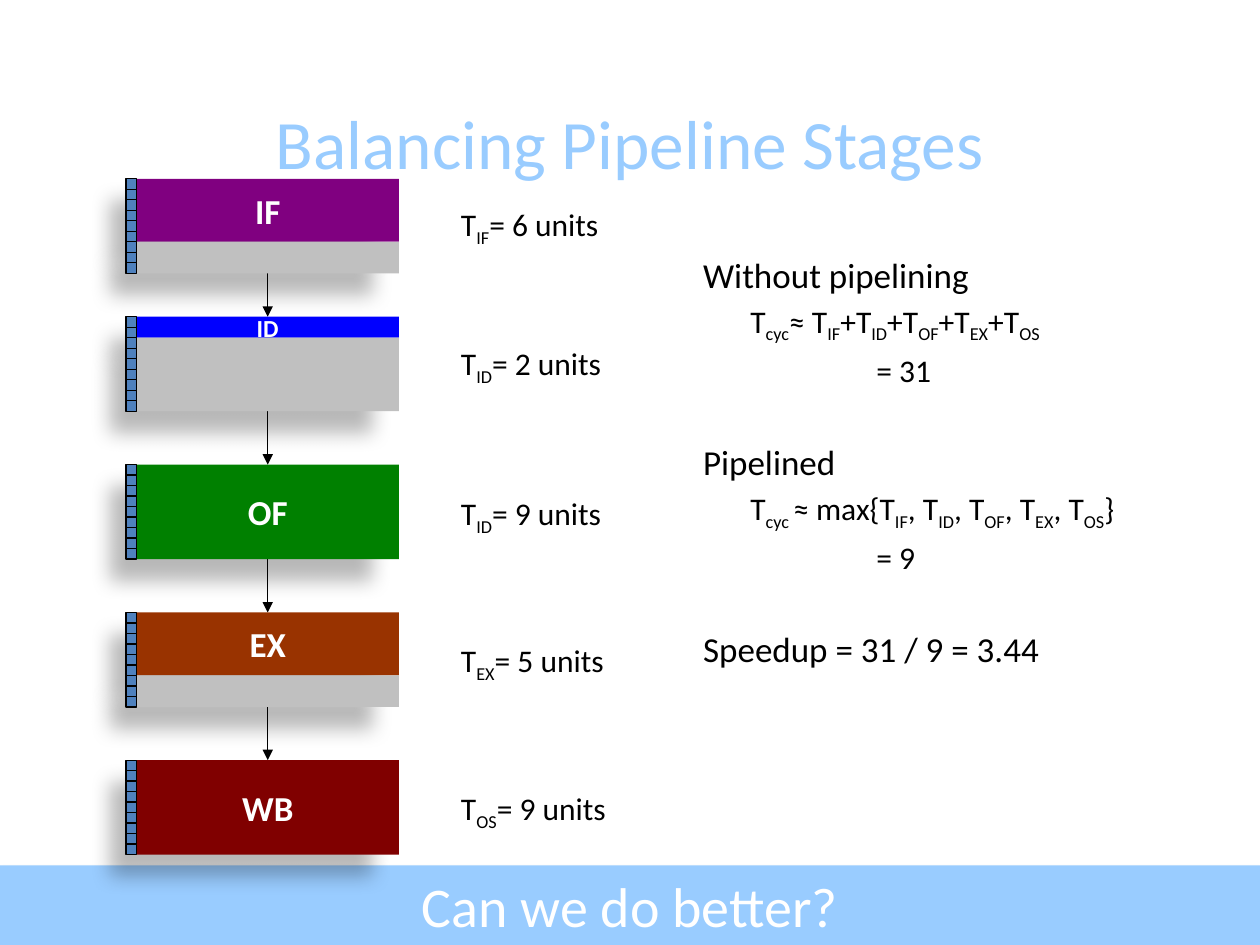
from dataclasses import dataclass
from itertools import pairwise

from lxml import etree
from pptx import Presentation
from pptx.dml.color import RGBColor
from pptx.enum import shapes, text
from pptx.oxml import ns
from pptx.util import Pt

FONT = "Calibri"
UNIT = 6
SLOTS = 9
STAGE_H = UNIT * SLOTS
LATCH_X = 72
STAGE_X = LATCH_X + UNIT
STAGE_W = 150
LABEL_X = 256.3
BAND_Y = 494.6


@dataclass
class Stage:
    name: str
    top: float
    units: int
    color: str
    size: float
    label: str
    label_top: float


@dataclass
class Note:
    markup: str
    size: float
    indent: float
    before: float


@dataclass
class Shadow:
    alpha: int
    blur: float
    dist: float
    angle: int


STAGE_SHADOW = Shadow(28, 11.8, 19.7, 141)
BAND_SHADOW = Shadow(35, 3.1, 1.8, 90)

STAGES = [
    Stage("IF", 102.2, 6, "800080", 20, "T_IF_= 6 units", 113.8),
    Stage("ID", 181, 2, "0000FF", 14, "T_ID_= 2 units", 193),
    Stage("OF", 265.5, 9, "008000", 20, "T_ID_= 9 units", 278.6),
    Stage("EX", 350, 6, "993300", 20, "T_EX_= 5 units", 363),
    Stage("WB", 434.4, 9, "800000", 20, "T_OS_= 9 units", 447.6),
]

NOTES = [
    Note("Without pipelining", 20, 0, 0),
    Note("T_cyc_≈ T_IF_+T_ID_+T_OF_+T_EX_+T_OS_", 18, 27, 3.6),
    Note("= 31", 18, 99, 3.6),
    Note("Pipelined", 20, 0, 29.6),
    Note("T_cyc _≈ max{T_IF_, T_ID_, T_OF_, T_EX_, T_OS_}", 18, 27, 3.6),
    Note("= 9", 18, 99, 3.6),
    Note("Speedup = 31 / 9 = 3.44", 20, 0, 29.6),
]


def rgb(value: str) -> RGBColor:
    return RGBColor.from_string(value)


def add_effects(sp, shadow: Shadow | None = None) -> None:
    sp_pr = sp._element.spPr
    for old in sp_pr.findall(ns.qn("a:effectLst")):
        sp_pr.remove(old)
    effects = etree.SubElement(sp_pr, ns.qn("a:effectLst"))
    if shadow:
        outer = etree.SubElement(
            effects, ns.qn("a:outerShdw"),
            blurRad=str(Pt(shadow.blur)), dist=str(Pt(shadow.dist)),
            dir=str(shadow.angle * 60000), algn="ctr", rotWithShape="0")
        color = etree.SubElement(outer, ns.qn("a:srgbClr"), val="000000")
        etree.SubElement(color, ns.qn("a:alpha"), val=str(shadow.alpha * 1000))


def add_rect(s, x: float, y: float, w: float, h: float, fill: str,
             line: str | None = None, shadow: Shadow | None = None):
    sp = s.shapes.add_shape(shapes.MSO_SHAPE.RECTANGLE, Pt(x), Pt(y), Pt(w), Pt(h))
    sp.fill.solid()
    sp.fill.fore_color.rgb = rgb(fill)
    if line:
        sp.line.color.rgb = rgb(line)
        sp.line.width = Pt(0.75)
    else:
        sp.line.fill.background()
    add_effects(sp, shadow)
    return sp


def add_arrow(s, x: float, y1: float, y2: float) -> None:
    c = s.shapes.add_connector(
        shapes.MSO_CONNECTOR.STRAIGHT, Pt(x), Pt(y1), Pt(x), Pt(y2))
    c.line.color.rgb = rgb("000000")
    c.line.width = Pt(0.75)
    etree.SubElement(c.line._get_or_add_ln(), ns.qn("a:tailEnd"), type="triangle")
    add_effects(c)


def format_font(font, size: float, color: str, bold: bool = False) -> None:
    font.name = FONT
    font.size = Pt(size)
    font.color.rgb = rgb(color)
    font.bold = bold


def set_centered(sp, content: str, size: float, color: str, bold: bool = False) -> None:
    tf = sp.text_frame
    tf.text = content
    tf.vertical_anchor = text.MSO_ANCHOR.MIDDLE
    tf.auto_size = text.MSO_AUTO_SIZE.NONE
    p = tf.paragraphs[0]
    p.alignment = text.PP_ALIGN.CENTER
    format_font(p.runs[0].font, size, color, bold)


def write_markup(p, markup: str, size: float) -> None:
    p.alignment = text.PP_ALIGN.LEFT
    for i, part in enumerate(markup.split("_")):
        if part:
            r = p.add_run()
            r.text = part
            format_font(r.font, size, "000000")
            if i % 2:
                r.font._element.set("baseline", "-25000")


def add_stage(s, stage: Stage) -> None:
    busy = stage.units * UNIT
    sp = add_rect(s, STAGE_X, stage.top, STAGE_W, busy, stage.color, shadow=STAGE_SHADOW)
    set_centered(sp, stage.name, stage.size, "FFFFFF", True)
    tf = sp.text_frame
    tf.word_wrap = False
    tf.margin_top = tf.margin_bottom = 0
    if busy < STAGE_H:
        add_rect(s, STAGE_X, stage.top + busy, STAGE_W, STAGE_H - busy, "C0C0C0",
                 shadow=STAGE_SHADOW)
    for i in range(SLOTS):
        add_rect(s, LATCH_X, stage.top + i * UNIT, UNIT, UNIT, "4F81BD", "000000")


def add_label(s, stage: Stage) -> None:
    sp = s.shapes.add_textbox(Pt(LABEL_X), Pt(stage.label_top), Pt(104), Pt(29))
    tf = sp.text_frame
    tf.word_wrap = False
    write_markup(tf.paragraphs[0], stage.label, 18)


def add_notes(s, notes: list[Note]) -> None:
    sp = add_rect(s, 394.7, 141.2, 294, 276.5, "FFFFFF")
    color = sp._element.spPr.find(".//" + ns.qn("a:srgbClr"))
    etree.SubElement(color, ns.qn("a:alpha"), val="80000")
    tf = sp.text_frame
    tf.word_wrap = True
    tf.vertical_anchor = text.MSO_ANCHOR.TOP
    for i, note in enumerate(notes):
        p = tf.add_paragraph() if i else tf.paragraphs[0]
        if i:
            p.space_before = Pt(note.before)
        p._p.get_or_add_pPr().set("marL", str(Pt(note.indent)))
        write_markup(p, note.markup, note.size)


def main() -> None:
    prs = Presentation()
    prs.slide_width, prs.slide_height = Pt(720), Pt(540)
    s = prs.slides.add_slide(prs.slide_layouts[5])

    title = s.shapes.title
    title.left, title.top, title.width, title.height = Pt(49.7), Pt(53.3), Pt(620.6), Pt(55.4)
    set_centered(title, "Balancing Pipeline Stages", 39.6, "99CCFF")

    band = add_rect(s, 0, BAND_Y, 720, 540 - BAND_Y, "99CCFF", shadow=BAND_SHADOW)
    set_centered(band, "Can we do better?", 32, "FFFFFF")
    band.text_frame.margin_top = band.text_frame.margin_bottom = 0

    for upper, lower in pairwise(STAGES):
        add_arrow(s, STAGE_X + STAGE_W / 2, upper.top + STAGE_H, lower.top)
    for stage in STAGES:
        add_label(s, stage)
    add_notes(s, NOTES)
    for stage in STAGES:
        add_stage(s, stage)

    prs.save("out.pptx")


if __name__ == "__main__":
    main()
